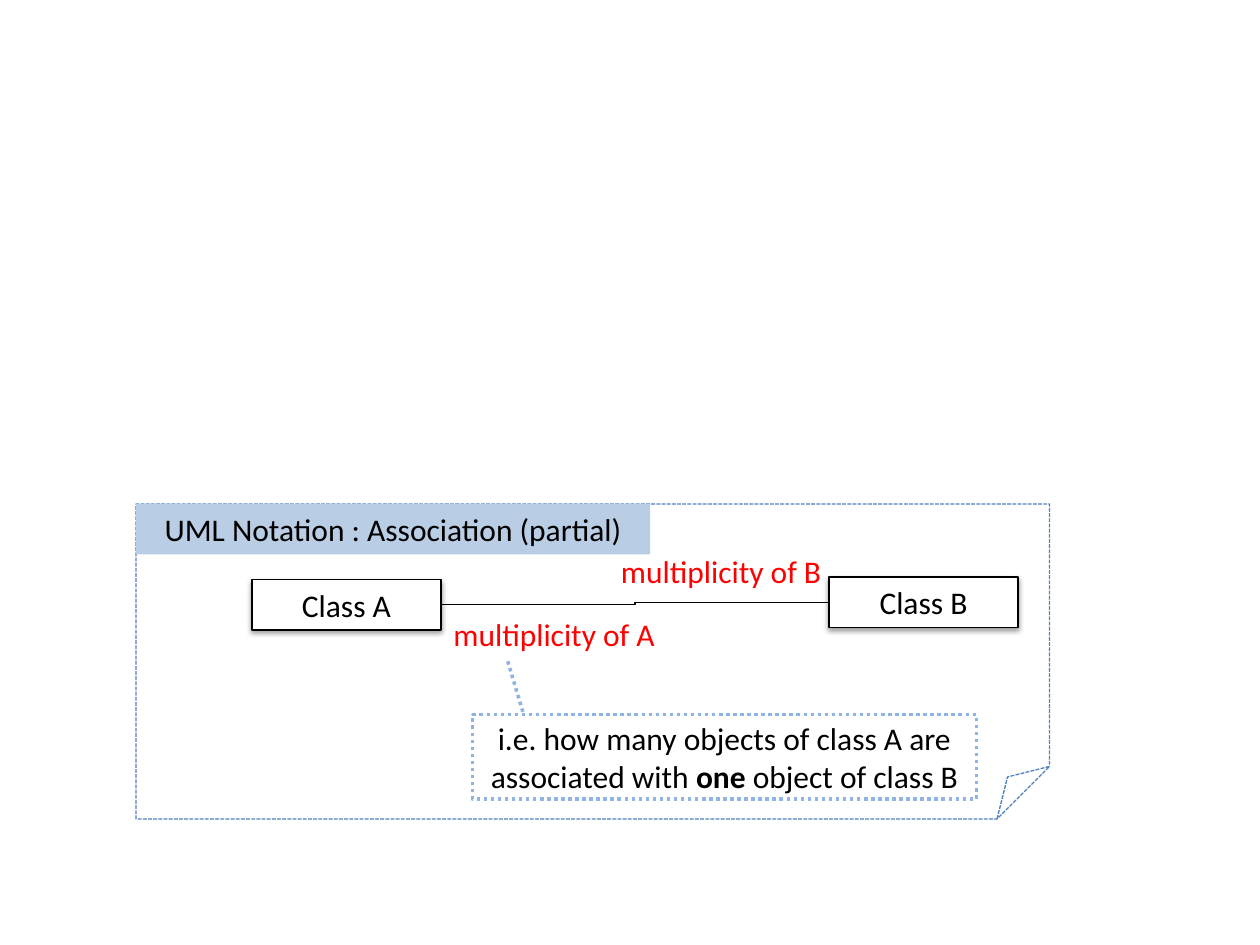
from lxml import etree
from pptx import Presentation
from pptx.dml.color import RGBColor
from pptx.enum.dml import MSO_LINE
from pptx.enum.shapes import MSO_CONNECTOR, MSO_SHAPE
from pptx.enum.text import MSO_ANCHOR, PP_ALIGN
from pptx.oxml import parse_xml
from pptx.oxml.ns import nsdecls, qn
from pptx.util import Inches, Pt

BLACK = RGBColor(0x00, 0x00, 0x00)
WHITE = RGBColor(0xFF, 0xFF, 0xFF)
RED = RGBColor(0xFF, 0x00, 0x00)
BLUE = RGBColor(0x4F, 0x81, 0xBD)
PALE = RGBColor(0xB9, 0xCD, 0xE5)
SKY = RGBColor(0x8E, 0xB4, 0xE3)

RECT = MSO_SHAPE.RECTANGLE
FOLD = MSO_SHAPE.FOLDED_CORNER
CALLOUT = MSO_SHAPE.LINE_CALLOUT_1
ELBOW = MSO_CONNECTOR.ELBOW
DASH = MSO_LINE.SQUARE_DOT
DOT = MSO_LINE.ROUND_DOT
TOP, MIDDLE = MSO_ANCHOR.TOP, MSO_ANCHOR.MIDDLE
LEFT, CENTER = PP_ALIGN.LEFT, PP_ALIGN.CENTER

SHADOW = (
    f'<a:effectLst {nsdecls("a")}>'
    '<a:outerShdw blurRad="40000" dist="20000" dir="5400000" rotWithShape="0">'
    '<a:srgbClr val="000000"><a:alpha val="38000"/></a:srgbClr>'
    '</a:outerShdw></a:effectLst>'
)


class Board:
    font = "Calibri"
    size = Pt(18)

    def __init__(self, slide):
        self.slide = slide

    def text(self, shape, parts, color=BLACK, align=CENTER, anchor=MIDDLE):
        """Fill a shape with (words, bold) parts in one paragraph."""
        frame = shape.text_frame
        frame.word_wrap = True
        frame.vertical_anchor = anchor
        para = frame.paragraphs[0]
        para.alignment = align
        for words, bold in parts:
            run = para.add_run()
            run.text = words
            run.font.name = self.font
            run.font.size = self.size
            run.font.bold = bold
            run.font.color.rgb = color

    def shape(self, kind, x, y, w, h, fill=None, line=None, width=0.75, dash=None):
        item = self.slide.shapes.add_shape(
            kind, Inches(x), Inches(y), Inches(w), Inches(h))
        item.shadow.inherit = False
        if fill is None:
            item.fill.background()
        else:
            item.fill.solid()
            item.fill.fore_color.rgb = fill
        if line is None:
            item.line.fill.background()
        else:
            item.line.color.rgb = line
            item.line.width = Pt(width)
            item.line.dash_style = dash
        return item

    def block(self, x, y, name):
        """Draw a UML class box with a soft shadow."""
        item = self.shape(RECT, x, y, 1.5, 0.4, WHITE, BLACK)
        props = item._element.spPr
        props.replace(props.find(qn("a:effectLst")), parse_xml(SHADOW))
        self.text(item, [(name, False)])

    def label(self, x, y, words):
        item = self.slide.shapes.add_textbox(
            Inches(x), Inches(y), Inches(1.92), Inches(0.4))
        self.text(item, [(words, False)], RED, LEFT, TOP)

    def link(self, x1, y1, x2, y2):
        item = self.slide.shapes.add_connector(
            ELBOW, Inches(x1), Inches(y1), Inches(x2), Inches(y2))
        item.line.color.rgb = BLACK
        item.line.width = Pt(0.75)
        etree.SubElement(item._element.spPr, qn("a:effectLst"))

    def callout(self, x, y, w, h, points, parts):
        item = self.shape(CALLOUT, x, y, w, h, line=SKY, width=2, dash=DOT)
        for i, value in enumerate(points):
            item.adjustments[i] = value
        self.text(item, parts)


def main():
    deck = Presentation()
    deck.slide_width, deck.slide_height = Inches(10), Inches(7.5)
    board = Board(deck.slides.add_slide(deck.slide_layouts[6]))

    board.block(2, 4.6, "Class A")
    board.shape(FOLD, 1.08, 4, 7.25, 2.5, line=BLUE, dash=DASH)
    title = board.shape(RECT, 1.08, 4, 4.08, 0.4, PALE)
    board.text(title, [("UML Notation : Association (partial)", False)], anchor=TOP)
    board.block(6.58, 4.58, "Class B")
    board.link(3.5, 4.8, 6.58, 4.78)
    board.label(4.83, 4.33, "multiplicity of B")
    board.label(3.5, 4.83, "multiplicity of A")
    board.callout(3.75, 5.67, 4, 0.67, (-0.03, 0.1, -0.63, 0.07), [
        ("i.e. how many objects of class A are associated with ", False),
        ("one", True),
        (" object of class B", False),
    ])
    deck.save("out.pptx")


if __name__ == "__main__":
    main()
